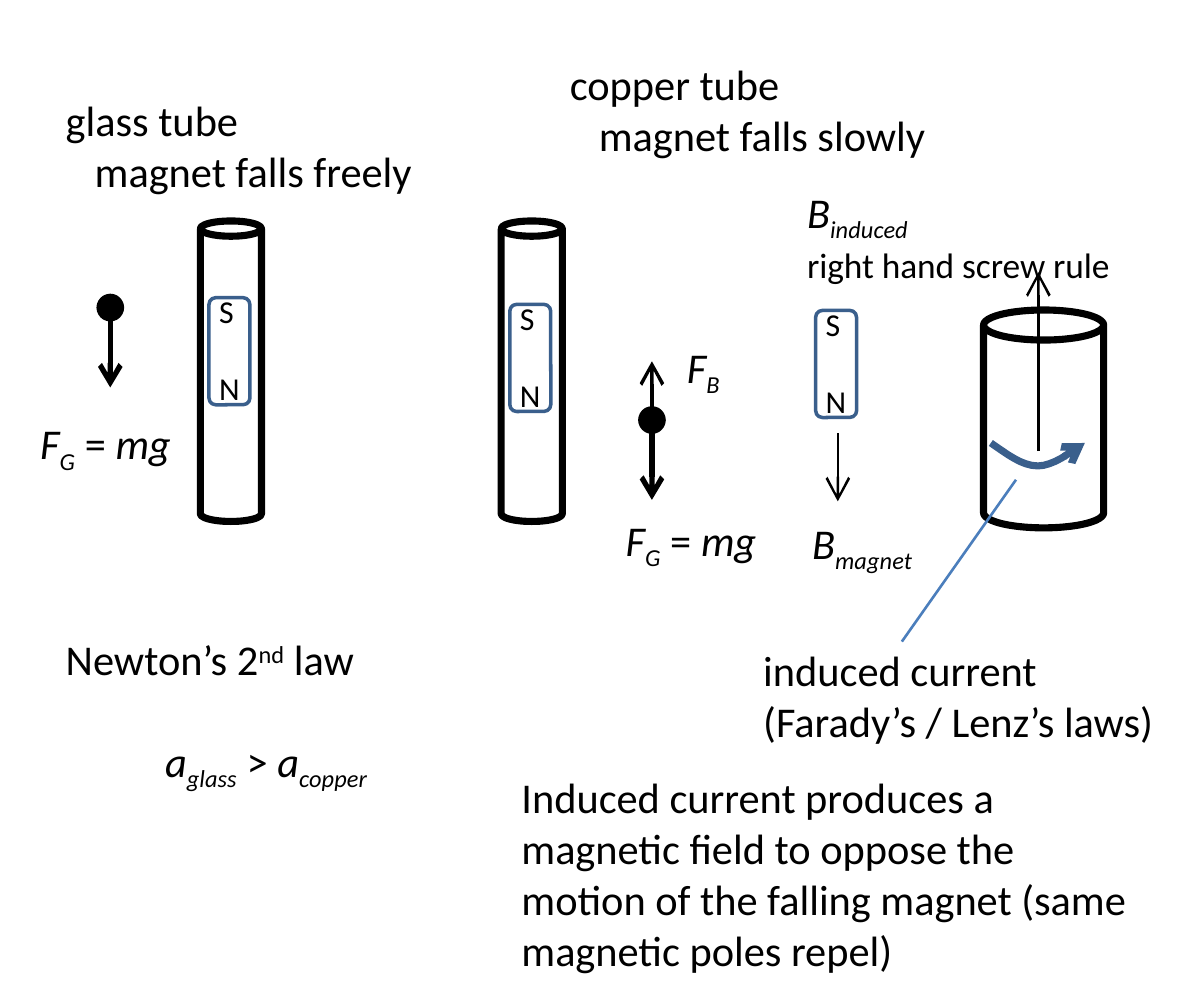
from pptx import Presentation
from pptx.dml.color import RGBColor
from pptx.enum.shapes import MSO_CONNECTOR, MSO_SHAPE
from pptx.enum.text import MSO_AUTO_SIZE, PP_ALIGN
from pptx.oxml.ns import qn
from pptx.util import Pt
from lxml import etree

BLACK = RGBColor(0x00, 0x00, 0x00)
WHITE = RGBColor(0xFF, 0xFF, 0xFF)
NAVY = RGBColor(0x3A, 0x5F, 0x8C)
BLUE = RGBColor(0x4B, 0x7E, 0xBC)

SUBSCRIPT = {"italic": True, "baseline": -25000}
SUPERSCRIPT = {"baseline": 30000}
ITALIC = {"italic": True}
WEIGHT = [("F", ITALIC), ("G", SUBSCRIPT), (" = ", {}), ("mg", ITALIC)]
TUBE_SIZE = (17.3, 85)
MAGNET_SIZE = (11.6, 30.3)
DOT_SIZE = 5.8


def add_text(shapes, box, paragraphs, size=12, wrap=False):
    """Add a text box; each paragraph is a run list with paragraph format values."""
    shape = shapes.add_textbox(*map(Pt, box))
    frame = shape.text_frame
    frame.word_wrap = wrap
    frame.auto_size = MSO_AUTO_SIZE.SHAPE_TO_FIT_TEXT
    for index, (runs, layout) in enumerate(paragraphs):
        paragraph = frame.add_paragraph() if index else frame.paragraphs[0]
        paragraph.alignment = PP_ALIGN.LEFT
        if "indent" in layout:
            paragraph._p.get_or_add_pPr().set("marL", str(Pt(layout["indent"])))
        if "space_before" in layout:
            paragraph.space_before = Pt(layout["space_before"])
        for text, changes in runs:
            run = paragraph.add_run()
            run.text = text
            values = {"name": "Calibri", "size": Pt(layout.get("size", size)), "italic": False}
            values.update(changes)
            baseline = values.pop("baseline", None)
            for name, value in values.items():
                setattr(run.font, name, value)
            run.font.color.rgb = BLACK
            if baseline:
                run._r.get_or_add_rPr().set("baseline", str(baseline))


def plain(text, **layout):
    """Return a paragraph with one upright run."""
    return [(text, {})], layout


def add_outline(shapes, kind, box, fill, line, width):
    """Add a filled preset shape with an outline."""
    shape = shapes.add_shape(kind, *map(Pt, box))
    shape.shadow.inherit = False
    shape.fill.solid()
    shape.fill.fore_color.rgb = fill
    shape.line.color.rgb = line
    shape.line.width = Pt(width)


def add_arrowhead(line):
    """Put an open arrowhead at the end of a line."""
    etree.SubElement(line._get_or_add_ln(), qn("a:tailEnd"), type="arrow")


def add_line(shapes, start, end, color=BLACK, width=0.75, arrow=True):
    """Add a straight line, with an arrowhead unless told otherwise."""
    connector = shapes.add_connector(MSO_CONNECTOR.STRAIGHT, *map(Pt, (*start, *end)))
    connector.line.color.rgb = color
    connector.line.width = Pt(width)
    if arrow:
        add_arrowhead(connector.line)
    etree.SubElement(connector._element.spPr, qn("a:effectLst"))


def add_magnet(slide, left, top):
    """Draw a bar magnet with its south pole up."""
    shapes = slide.shapes.add_group_shape().shapes
    add_outline(shapes, MSO_SHAPE.ROUNDED_RECTANGLE, (left, top, *MAGNET_SIZE), WHITE, NAVY, 1)
    poles = [plain("S"), plain("N", space_before=11)]
    add_text(shapes, (left - 4.2, top - 5.2, 20, 40.3), poles, size=9)


def add_tube(slide, left, top, drop):
    """Draw a narrow tube with a magnet that has fallen by drop."""
    add_outline(slide.shapes, MSO_SHAPE.CAN, (left, top, *TUBE_SIZE), WHITE, BLACK, 2)
    add_magnet(slide, left + 2.4, top + drop)


def add_weight(slide, x, y):
    """Draw a body centred on a point with its weight arrow."""
    shapes = slide.shapes.add_group_shape().shapes
    box = (x - DOT_SIZE / 2, y - DOT_SIZE / 2, DOT_SIZE, DOT_SIZE)
    add_outline(shapes, MSO_SHAPE.OVAL, box, BLACK, BLACK, 2)
    add_line(shapes, (x, y), (x, y + 22.6), width=1.5)


def draw_glass(slide, left, top):
    """Draw the glass tube region."""
    title = [plain("glass tube"), plain("magnet falls freely", indent=8.2)]
    add_tube(slide, left + 52.7, top + 39.5, 21.7)
    add_text(slide.shapes, (left + 7.5, top, 113.8, 36), title)
    add_weight(slide, left + 27.2, top + 64)
    add_text(slide.shapes, (left + 0.3, top + 91.5, 52.6, 21.6), [(WEIGHT, {})])


def draw_copper(slide, left, top):
    """Draw the copper tube region."""
    title = [plain("copper tube"), plain("magnet falls slowly", indent=8.2)]
    force = [("F", ITALIC), ("B", SUBSCRIPT)]
    body = (left + 44.4, top + 105.8)
    add_tube(slide, left + 1.8, top + 49.5, 23.6)
    add_text(slide.shapes, (left + 14.1, top, 116.6, 36), title)
    add_weight(slide, *body)
    add_text(slide.shapes, (left + 29.9, top + 128.8, 52.6, 21.6), [(WEIGHT, {})])
    add_line(slide.shapes, body, (body[0], top + 89.2), width=1)
    add_text(slide.shapes, (left + 47.2, top + 79.9, 24.5, 21.6), [(force, {})])


def draw_current(slide, left, top):
    """Draw the curved arrow of the induced current."""
    half, depth, steps = 13.3, 6.5, 8
    points = []
    for side in (0, 1):
        xs = (0, 4.3, 8.6, half) if side == 0 else (half, 17.6, 22.3, 26.6)
        ys = (0, 2.9, depth, depth) if side == 0 else (depth, depth, 2.9, 0)
        for step in range(side, steps + 1):
            t = step / steps
            weights = ((1 - t) ** 3, 3 * t * (1 - t) ** 2, 3 * t * t * (1 - t), t ** 3)
            x = left + sum(w * value for w, value in zip(weights, xs))
            y = top + sum(w * value for w, value in zip(weights, ys))
            points.append((Pt(x), Pt(y)))
    builder = slide.shapes.build_freeform(*points[0])
    builder.add_line_segments(points[1:], close=False)
    curve = builder.convert_to_shape()
    curve.shadow.inherit = False
    curve.fill.background()
    curve.line.color.rgb = NAVY
    curve.line.width = Pt(2)
    add_arrowhead(curve.line)


def draw_induction(slide, left, top):
    """Draw the enlarged tube with its induced current and fields."""
    shapes = slide.shapes
    magnet_field = [("B", ITALIC), ("magnet", SUBSCRIPT)]
    induced_field = [("B", ITALIC), ("induced", SUBSCRIPT)]
    add_magnet(slide, left + 22.7, top + 38.8)
    add_line(shapes, (left + 29, top + 73.6), (left + 29, top + 92.8))
    add_text(shapes, (left + 14.6, top + 93.6, 46.8, 21.6), [(magnet_field, {})])
    add_outline(shapes, MSO_SHAPE.CAN, (left + 70.2, top + 38.7, 34, 61.6), WHITE, BLACK, 2)
    draw_current(slide, left + 72.3, top + 76.3)
    laws = [plain("induced current"), plain("(Farady’s / Lenz’s laws)")]
    add_text(shapes, (left + 0.8, top + 129.6, 126, 36), laws)
    add_line(shapes, (left + 47.1, top + 132.5), (left + 79.4, top + 86.7), BLUE, arrow=False)
    add_line(shapes, (left + 85.7, top + 78.6), (left + 85.7, top + 28))
    rule = [(induced_field, {}), plain("right hand screw rule", size=10)]
    add_text(shapes, (left + 13.2, top, 101.5, 33.8), rule)


def draw_conclusions(slide, left, top):
    """Write the comparison of accelerations and the explanation."""
    newton = [("Newton’s 2", {}), ("nd", SUPERSCRIPT), (" law", {})]
    comparison = [("a", ITALIC), ("glass", SUBSCRIPT), (" > ", {}), ("a", ITALIC), ("copper", SUBSCRIPT)]
    explanation = (
        "Induced current produces a magnetic field to oppose the motion "
        "of the falling magnet (same magnetic poles repel)"
    )
    add_text(slide.shapes, (left, top, 106.6, 21.6), [(newton, {})])
    add_text(slide.shapes, (left + 28.1, top + 28.6, 77.8, 21.6), [(comparison, {})])
    add_text(slide.shapes, (left + 128.9, top + 39, 188.6, 65.5), [plain(explanation)], wrap=True)


def main():
    """Build the slide and save it."""
    presentation = Presentation()
    presentation.slide_width, presentation.slide_height = Pt(340.56), Pt(283.68)
    slide = presentation.slides.add_slide(presentation.slide_layouts[6])
    draw_glass(slide, 4, 23)
    draw_copper(slide, 140, 13)
    draw_induction(slide, 208, 49)
    draw_conclusions(slide, 11.5, 175.7)
    presentation.save("out.pptx")


if __name__ == "__main__":
    main()
